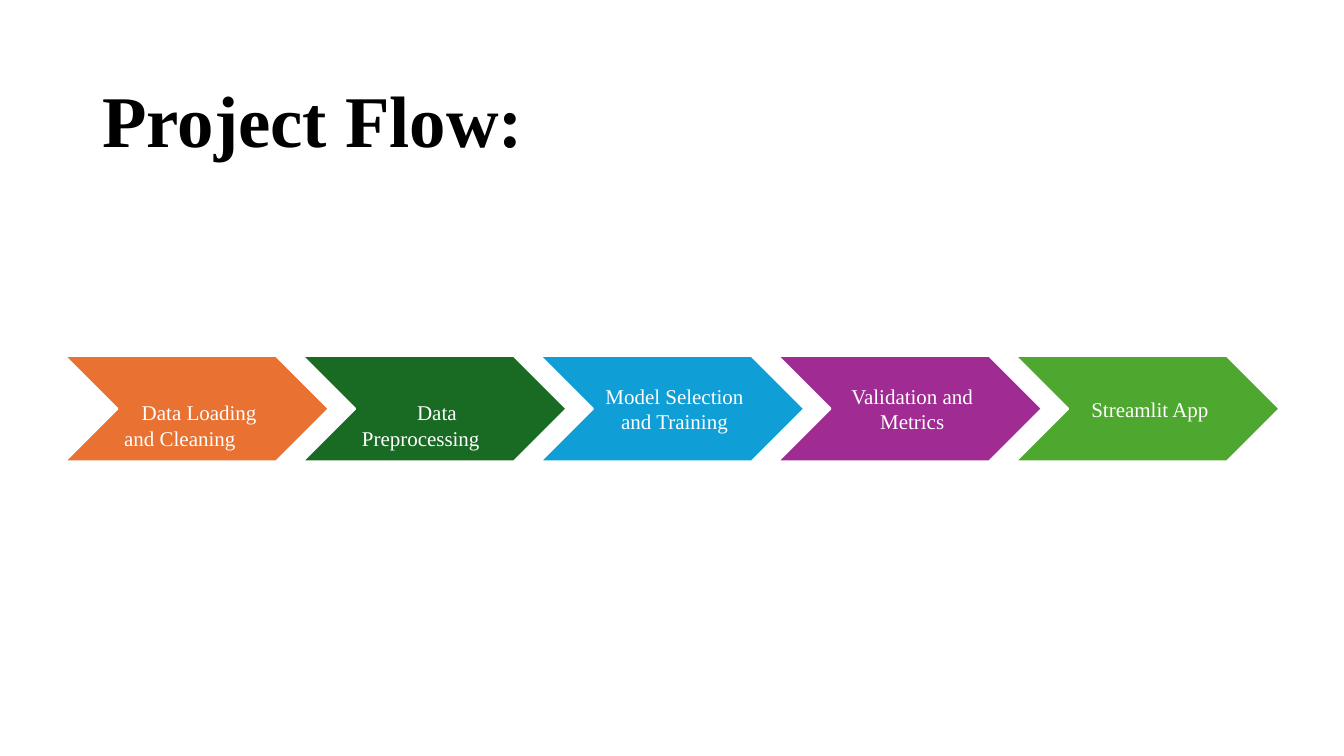
from pptx import Presentation
from pptx.dml.color import RGBColor
from pptx.enum.shapes import MSO_SHAPE
from pptx.enum.text import MSO_ANCHOR, PP_ALIGN
from pptx.util import Cm, Pt

WHITE = RGBColor(0xFF, 0xFF, 0xFF)
BLACK = RGBColor(0x00, 0x00, 0x00)
ORANGE = RGBColor(0xE9, 0x71, 0x32)
DARK_GREEN = RGBColor(0x19, 0x6B, 0x24)
BLUE = RGBColor(0x0F, 0x9E, 0xD5)
PURPLE = RGBColor(0xA0, 0x2B, 0x93)
GREEN = RGBColor(0x4E, 0xA7, 0x2E)
FONT = "Times New Roman"

TITLE = "Project Flow:"
LOW, MIDDLE = Cm(0.88), Cm(0.05)  # top insets that set the height of a label
STEPS = [
    ("Data Loading and Cleaning\t", ORANGE, LOW),
    ("Data Preprocessing\t", DARK_GREEN, LOW),
    ("Model Selection and Training", BLUE, MIDDLE),
    ("Validation and Metrics", PURPLE, MIDDLE),
    ("Streamlit App", GREEN, MIDDLE),
]
LEFT, TOP = Cm(1.63), Cm(8.97)
WIDTH, HEIGHT = Cm(6.66), Cm(2.66)
PITCH = Cm(5.99)


def format_text(frame, size, color, bold=False):
    frame.word_wrap = True
    frame.vertical_anchor = MSO_ANCHOR.MIDDLE
    para = frame.paragraphs[0]
    para.font.name = FONT
    para.font.size = Pt(size)
    para.font.bold = bold
    para.font.color.rgb = color
    return para


def add_step(page, index, label, color, top_inset):
    chevron = page.shapes.add_shape(
        MSO_SHAPE.CHEVRON, LEFT + index * PITCH, TOP, WIDTH, HEIGHT)
    chevron.shadow.inherit = False
    chevron.fill.solid()
    chevron.fill.fore_color.rgb = color
    chevron.line.color.rgb = WHITE
    chevron.line.width = Pt(1.5)
    frame = chevron.text_frame
    frame.text = label
    frame.margin_left = Cm(0.17)
    frame.margin_right = frame.margin_bottom = Cm(0.05)
    frame.margin_top = top_inset
    format_text(frame, 15, WHITE).alignment = PP_ALIGN.CENTER


def main():
    deck = Presentation()
    deck.slide_width, deck.slide_height = Cm(33.87), Cm(19.05)
    page = deck.slides.add_slide(deck.slide_layouts[5])

    title = page.shapes.title
    title.left, title.top = Cm(2.33), Cm(1.55)
    title.width, title.height = Cm(29.21), Cm(3.15)
    title.text_frame.text = TITLE
    para = format_text(title.text_frame, 52, BLACK, bold=True)
    para.alignment = PP_ALIGN.LEFT
    para.line_spacing = 0.9

    for index, step in enumerate(STEPS):
        add_step(page, index, *step)
    deck.save("out.pptx")


if __name__ == "__main__":
    main()
